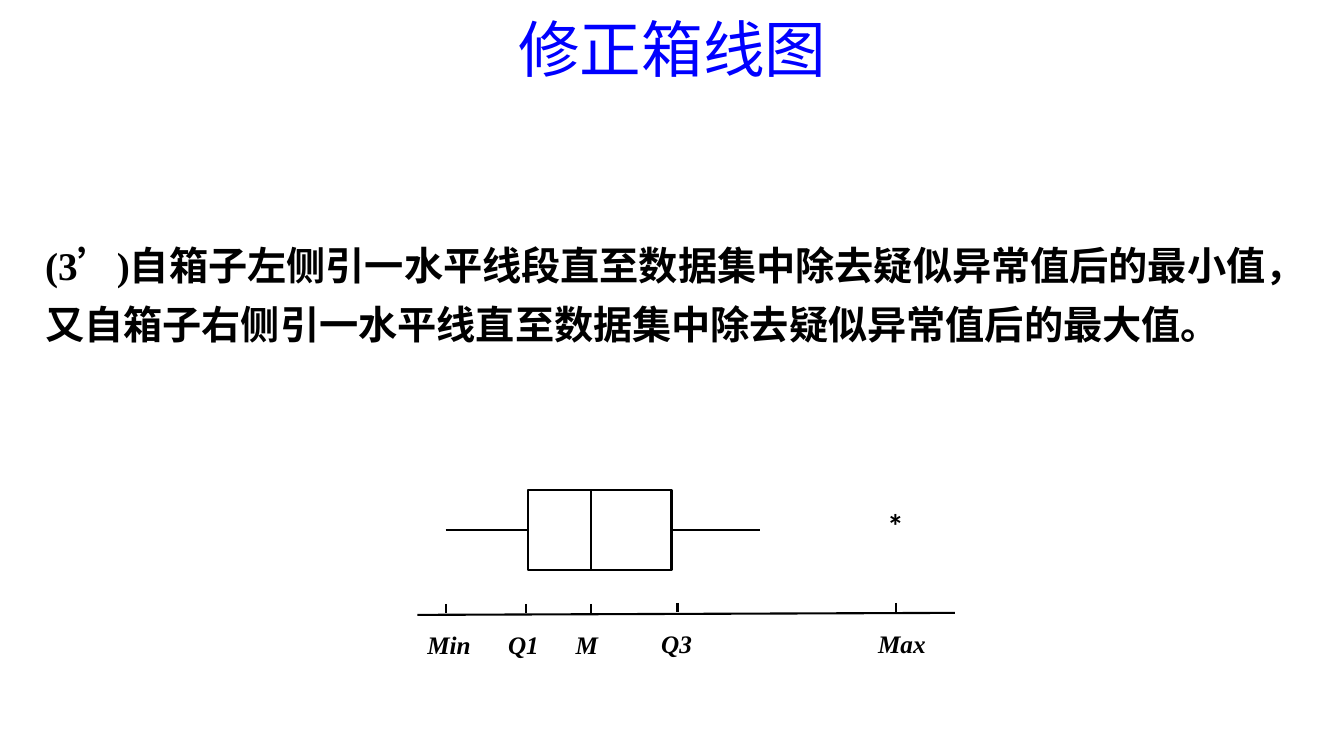
from pptx import Presentation
from pptx.dml.color import RGBColor
from pptx.enum.shapes import MSO_CONNECTOR, MSO_SHAPE
from pptx.enum.text import MSO_ANCHOR, MSO_AUTO_SIZE, PP_ALIGN
from pptx.oxml.ns import qn
from pptx.util import Inches, Pt
from lxml.etree import SubElement

CJK = "Noto Sans CJK JP"
SERIF = "Times New Roman"


def color(code):
    return RGBColor.from_string(code)


def write(frame, text, font=SERIF, size=18, ink="000000", bold=False,
          italic=False, align=PP_ALIGN.LEFT, space=None):
    """Put one formatted paragraph into a text frame."""
    para = frame.paragraphs[0]
    para.alignment = align
    if space:
        para.line_spacing = space
    run = para.add_run()
    run.text = text
    run.font.name = font
    run.font.size = Pt(size)
    run.font.bold = bold
    run.font.italic = italic
    run.font.color.rgb = color(ink)
    SubElement(run.font._element, qn("a:ea")).set("typeface", CJK)


class Board:
    """Holds the slide and the line style of the box plot."""

    def __init__(self, slide, ink="000000", weight=1.5):
        self.slide = slide
        self.ink = ink
        self.weight = weight

    def stroke(self, line):
        line.color.rgb = color(self.ink)
        line.width = Pt(self.weight)

    def text(self, text, left, top, width, height, wrap=True,
             anchor=MSO_ANCHOR.TOP, inset=0.05, **style):
        box = self.slide.shapes.add_textbox(
            Inches(left), Inches(top), Inches(width), Inches(height))
        frame = box.text_frame
        frame.word_wrap = wrap
        frame.vertical_anchor = anchor
        frame.margin_top = Inches(inset)
        if not wrap:
            frame.auto_size = MSO_AUTO_SIZE.SHAPE_TO_FIT_TEXT
        write(frame, text, **style)

    def line(self, x1, y1, x2, y2):
        link = self.slide.shapes.add_connector(
            MSO_CONNECTOR.STRAIGHT,
            Inches(x1), Inches(y1), Inches(x2), Inches(y2))
        self.stroke(link.line)
        SubElement(link._element.spPr, qn("a:effectLst"))

    def rect(self, left, top, width, height):
        box = self.slide.shapes.add_shape(
            MSO_SHAPE.RECTANGLE,
            Inches(left), Inches(top), Inches(width), Inches(height))
        box.shadow.inherit = False
        box.fill.background()
        self.stroke(box.line)


def main():
    deck = Presentation()
    deck.slide_width = Inches(13.33)
    deck.slide_height = Inches(7.5)
    board = Board(deck.slides.add_slide(deck.slide_layouts[6]))

    board.text("(3’)自箱子左侧引一水平线段直至数据集中除去疑似异常值后的最小值，"
               "又自箱子右侧引一水平线直至数据集中除去疑似异常值后的最大值。",
               0.35, 1.62, 12.47, 6.98, inset=0.66,
               size=28, bold=True, space=1.25)
    board.text("修正箱线图", 0.92, -0.2, 11.5, 1.45, anchor=MSO_ANCHOR.MIDDLE,
               font=CJK, size=44, ink="0000FF", align=PP_ALIGN.CENTER,
               space=0.9)

    low, q1, mid, q3, high = 4.42, 5.24, 5.86, 6.66, 7.54
    top, tall = 4.86, 0.8
    center = top + tall / 2
    board.rect(q1, top, q3 - q1, tall)
    board.line(mid, top, mid, top + tall)
    board.line(low, center, q1, center)
    board.line(q3, center, high, center)
    board.text("*", 8.7, 4.96, 0.38, 0.5, wrap=False,
               font="Calibri", size=24, bold=True)

    board.line(4.14, 6.1, 9.47, 6.08)
    # Label, tick position, tick top, label left and label width
    ticks = [("Min", low, 5.99, 4.14, 0.64), ("Q1", 5.22, 5.99, 4.94, 0.51),
             ("M", mid, 5.99, 5.61, 0.43), ("Q3", 6.72, 5.98, 6.46, 0.51),
             ("Max", 8.89, 5.98, 8.61, 0.68)]
    for name, x, y, left, width in ticks:
        board.line(x, y, x, y + 0.09)
        board.text(name, left, y + 0.2, width, 0.4, wrap=False,
                   bold=True, italic=True)

    deck.save("out.pptx")


if __name__ == "__main__":
    main()
